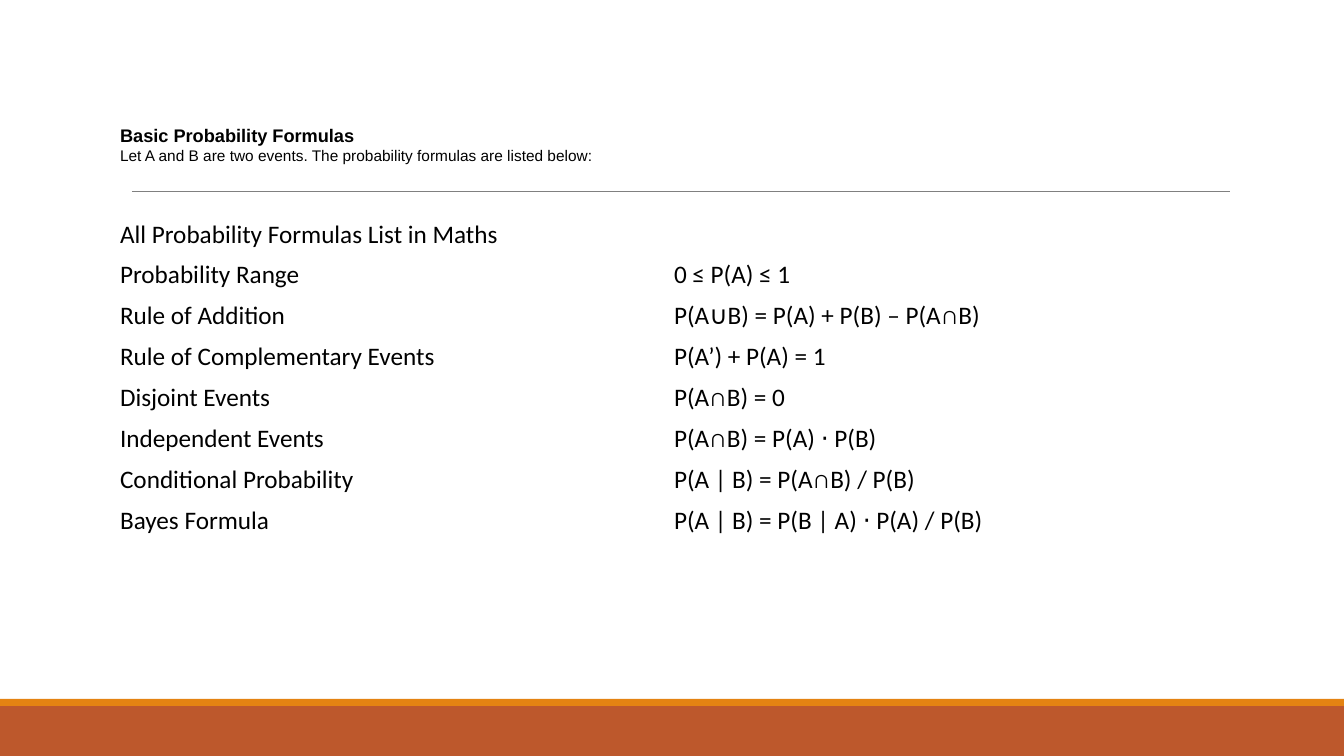
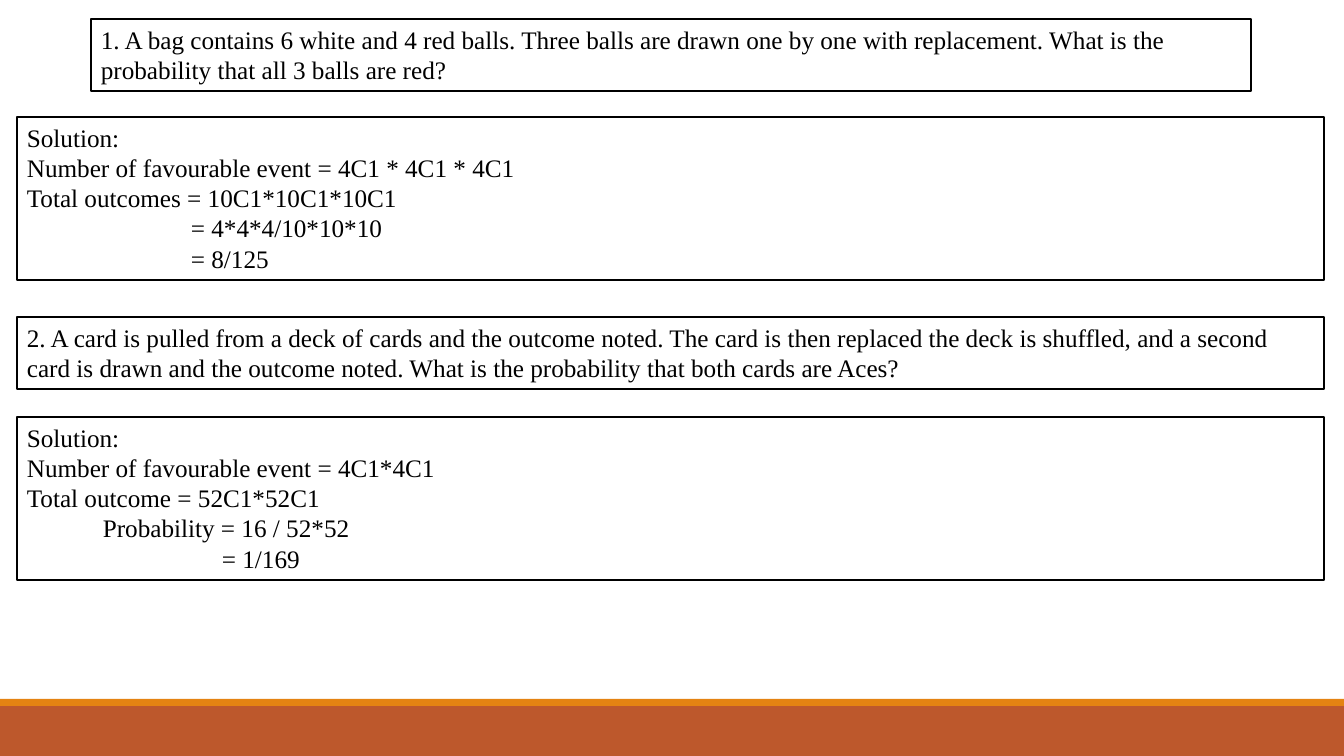
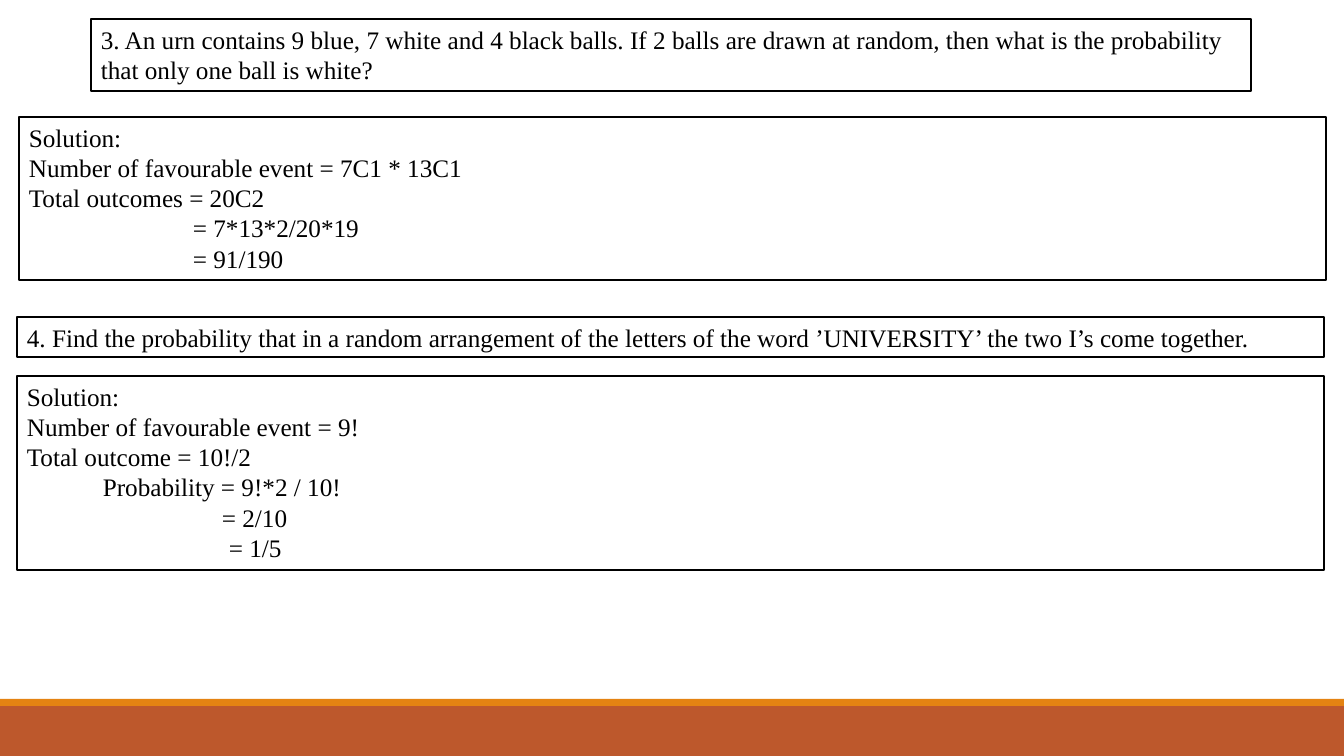
from lxml import etree
from pptx import Presentation
from pptx import util as u
from pptx.dml import color
from pptx.enum import shapes, text
from pptx.oxml import ns

COLORS = {"rust": "BD582C", "orange": "E48312", "rule": "808080", "white": "FFFFFF", "black": "000000"}
FORMATS = {
    "heading": {"name": "Arial", "size": u.Pt(13), "bold": True},
    "intro": {"name": "Arial", "size": u.Pt(11), "bold": False},
    "cell": {"name": "Calibri", "size": u.Pt(18), "bold": False},
    "body": {"name": "Times New Roman", "size": u.Pt(18), "bold": False},
}
WIDTH, HEIGHT = 1344, 756
TITLE_ONLY, BLANK = 5, 6

FORMULAS = [
    ("All Probability Formulas List in Maths", ""),
    ("Probability Range", "0 ≤ P(A) ≤ 1"),
    ("Rule of Addition", "P(A∪B) = P(A) + P(B) – P(A∩B)"),
    ("Rule of Complementary Events", "P(A’) + P(A) = 1"),
    ("Disjoint Events", "P(A∩B) = 0"),
    ("Independent Events", "P(A∩B) = P(A) ⋅ P(B)"),
    ("Conditional Probability", "P(A | B) = P(A∩B) / P(B)"),
    ("Bayes Formula", "P(A | B) = P(B | A) ⋅ P(A) / P(B)"),
]

PROBLEM_SLIDES = [
    [
        ((91, 19, 1160, 72), [
            ("1. A bag contains 6 white and 4 red balls. Three balls are drawn one by one with replacement. "
             "What is the probability that all 3 balls are red?", 0)]),
        ((17, 117, 1307, 163), [
            ("Solution:", 0),
            ("Number of favourable event = 4C1 * 4C1 * 4C1", 0),
            ("Total outcomes = 10C1*10C1*10C1", 0),
            ("= 4*4*4/10*10*10", 164),
            ("= 8/125", 164)]),
        ((17, 317, 1307, 72), [
            ("2. A card is pulled from a deck of cards and the outcome noted. The card is then replaced the deck "
             "is shuffled, and a second card is drawn and the outcome noted. What is the probability that both "
             "cards are Aces?", 0)]),
        ((17, 417, 1307, 163), [
            ("Solution:", 0),
            ("Number of favourable event = 4C1*4C1", 0),
            ("Total outcome = 52C1*52C1", 0),
            ("Probability = 16 / 52*52", 76),
            ("= 1/169", 195)]),
    ],
    [
        ((91, 19, 1160, 72), [
            ("3. An urn contains 9 blue, 7 white and 4 black balls. If 2 balls are drawn at random, then what is "
             "the probability that only one ball is white?", 0)]),
        ((19, 117, 1307, 163), [
            ("Solution:", 0),
            ("Number of favourable event = 7C1 * 13C1", 0),
            ("Total outcomes = 20C2", 0),
            ("= 7*13*2/20*19", 164),
            ("= 91/190", 164)]),
        ((17, 317, 1307, 40), [
            ("4. Find the probability that in a random arrangement of the letters of the word ’UNIVERSITY’ "
             "the two I’s come together.", 0)]),
        ((17, 376, 1307, 194), [
            ("Solution:", 0),
            ("Number of favourable event = 9!", 0),
            ("Total outcome = 10!/2", 0),
            ("Probability = 9!*2 / 10!", 76),
            ("= 2/10", 195),
            ("= 1/5", 202)]),
    ],
]


def px(n):
    """Turn a length in px into EMU."""
    return u.Emu(round(n * 914400 / 100.8))


def rgb(name):
    """Look up a named colour."""
    return color.RGBColor.from_string(COLORS[name])


class Deck:
    """Presentation style and the current slide."""

    def __init__(self):
        """Start an empty deck of the right size."""
        self.prs = Presentation()
        self.prs.slide_width, self.prs.slide_height = px(WIDTH), px(HEIGHT)
        self.slide = None

    def new_slide(self, layout):
        """Add a slide with the bands at its foot."""
        self.slide = self.prs.slides.add_slide(self.prs.slide_layouts[layout])
        self.rect((0, 706, WIDTH, 50), "rust")
        self.rect((0, 699, WIDTH, 7), "orange")

    def fill_text(self, tf, lines):
        """Fill a text frame with (text, format name, indent) lines."""
        for i, (line, fmt, indent) in enumerate(lines):
            p = tf.paragraphs[0] if i == 0 else tf.add_paragraph()
            p.alignment = text.PP_ALIGN.LEFT
            p.space_before = u.Pt(0)
            if indent:
                p._p.get_or_add_pPr().set("marL", str(px(indent)))
            r = p.add_run()
            r.text = line
            for key, value in FORMATS[fmt].items():
                setattr(r.font, key, value)
            r.font.color.rgb = rgb("black")

    def rect(self, box, fill):
        """Draw a plain rectangle without outline."""
        sp = self.slide.shapes.add_shape(shapes.MSO_SHAPE.RECTANGLE, *map(px, box))
        sp.shadow.inherit = False
        sp.fill.solid()
        sp.fill.fore_color.rgb = rgb(fill)
        sp.line.fill.background()
        return sp

    def text_box(self, box, lines):
        """Draw an outlined white box with body text."""
        sp = self.rect(box, "white")
        sp.line.color.rgb = rgb("black")
        sp.line.width = u.Pt(1.25)
        tf = sp.text_frame
        tf.word_wrap = True
        tf.auto_size = text.MSO_AUTO_SIZE.SHAPE_TO_FIT_TEXT
        tf.vertical_anchor = text.MSO_ANCHOR.TOP
        self.fill_text(tf, [(line, "body", indent) for line, indent in lines])

    def title(self, box, heading, intro):
        """Place the title with its introductory line."""
        sp = self.slide.shapes.title
        sp.left, sp.top, sp.width, sp.height = map(px, box)
        tf = sp.text_frame
        tf.word_wrap = True
        tf.auto_size = text.MSO_AUTO_SIZE.NONE
        tf.vertical_anchor = text.MSO_ANCHOR.MIDDLE
        self.fill_text(tf, [(heading, "heading", 0), (intro, "intro", 0)])

    def rule(self, x1, x2, y):
        """Draw a thin horizontal line."""
        cn = self.slide.shapes.add_connector(shapes.MSO_CONNECTOR.STRAIGHT, px(x1), px(y), px(x2), px(y))
        cn.line.color.rgb = rgb("rule")
        cn.line.width = u.Pt(0.5)
        etree.SubElement(cn._element.spPr, ns.qn("a:effectLst"))

    def table(self, box, rows):
        """Draw a plain table whose first row spans all columns."""
        tbl = self.slide.shapes.add_table(len(rows), len(rows[0]), *map(px, box)).table
        tbl.first_row = tbl.horz_banding = False
        tbl.cell(0, 0).merge(tbl.cell(0, len(rows[0]) - 1))
        for i, row in enumerate(rows):
            for j, value in enumerate(row):
                cell = tbl.cell(i, j)
                cell.fill.solid()
                cell.fill.fore_color.rgb = rgb("white")
                cell.vertical_anchor = text.MSO_ANCHOR.MIDDLE
                if value:
                    self.fill_text(cell.text_frame, [(value, "cell", 0)])


def main():
    """Build and save the deck."""
    deck = Deck()
    deck.new_slide(TITLE_ONLY)
    deck.rule(132, 1230, 191)
    deck.table((110, 214, 1108, 320), FORMULAS)
    deck.title((110, 119, 1108, 50), "Basic Probability Formulas",
               "Let A and B are two events. The probability formulas are listed below:")
    for boxes in PROBLEM_SLIDES:
        deck.new_slide(BLANK)
        for box, lines in boxes:
            deck.text_box(box, lines)
    deck.prs.save("out.pptx")


if __name__ == "__main__":
    main()
